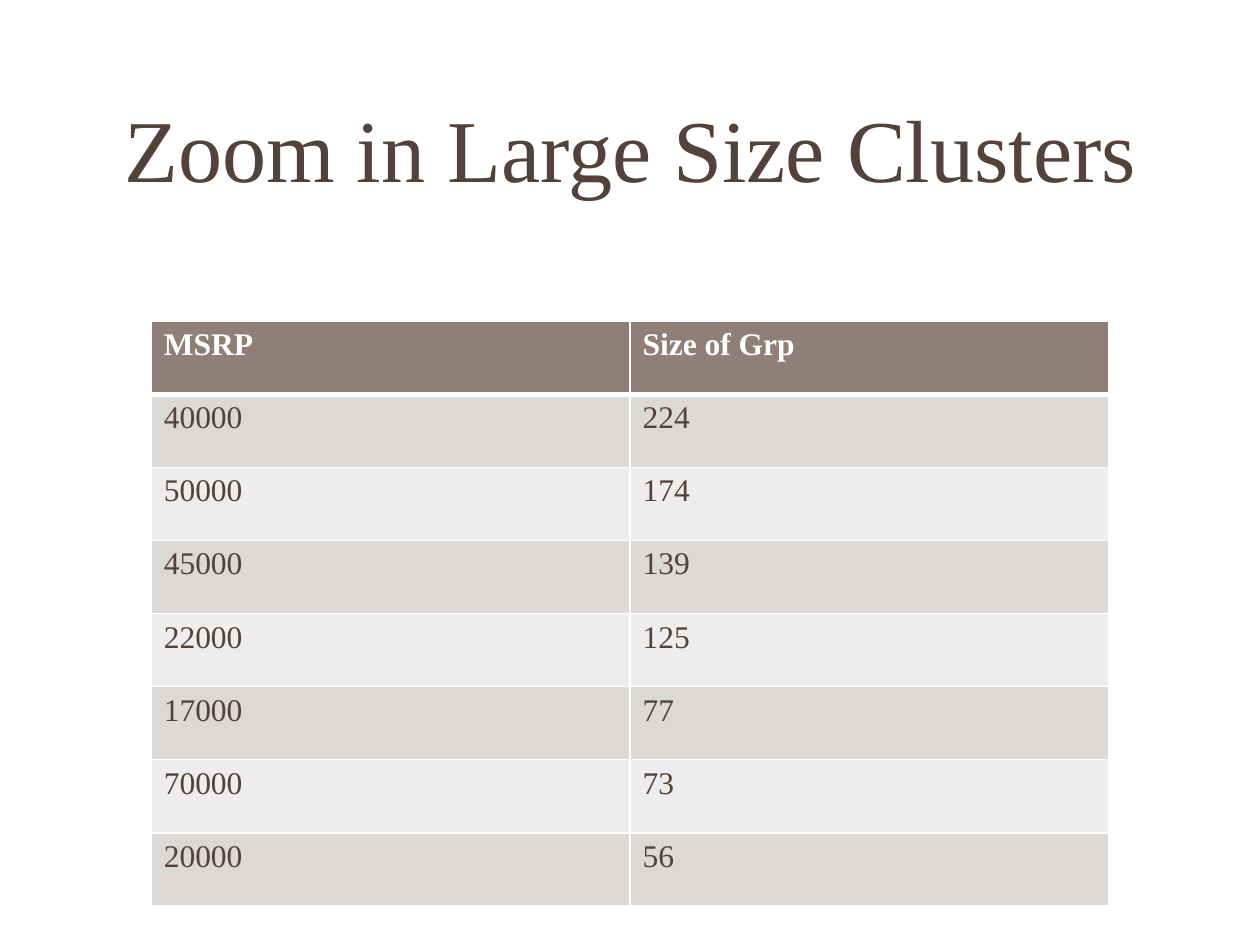
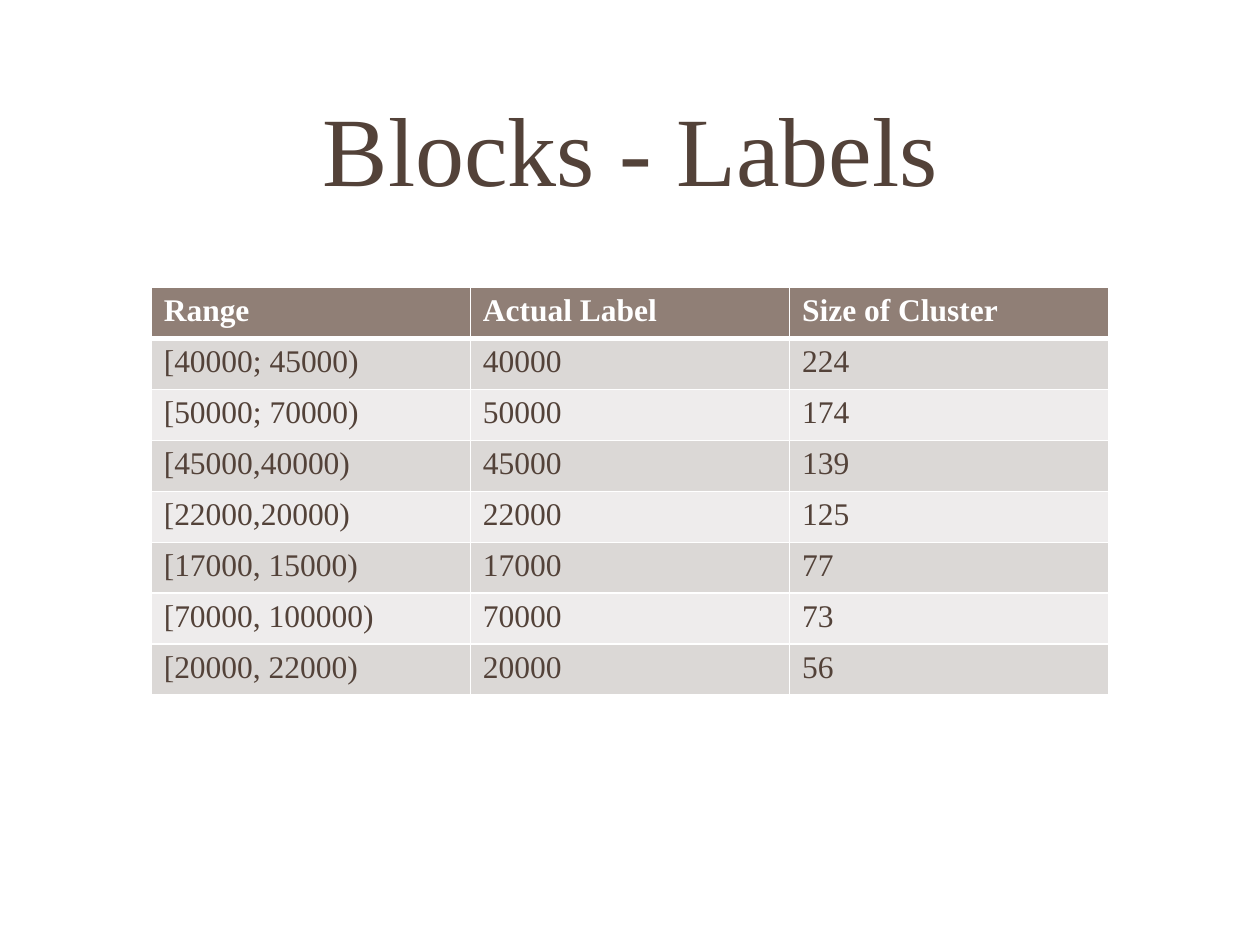
from dataclasses import dataclass

from lxml.etree import SubElement
from pptx import Presentation
from pptx.dml.color import RGBColor
from pptx.enum.text import MSO_ANCHOR, MSO_AUTO_SIZE, PP_ALIGN
from pptx.oxml.ns import qn
from pptx.util import Inches, Pt


@dataclass(frozen=True)
class Theme:
    font: str = "Times New Roman"
    text: str = "534239"
    white: str = "FFFFFF"
    header: str = "907F76"
    bands: tuple[str, str] = ("DBD8D6", "EEECEC")
    cell_size: float = 18
    rule: float = 1
    header_rule: float = 3


@dataclass(frozen=True)
class TableSlide:
    title: str
    title_size: float
    top: float
    height: float
    rows: list[tuple[str, ...]]


THEME = Theme()
TABLE_LEFT, TABLE_WIDTH = 1.2, 7.6

CLUSTERS = [
    ("[40000; 45000)", "40000", "224"),
    ("[50000; 70000)", "50000", "174"),
    ("[45000,40000)", "45000", "139"),
    ("[22000,20000)", "22000", "125"),
    ("[17000, 15000)", "17000", "77"),
    ("[70000, 100000)", "70000", "73"),
    ("[20000, 22000)", "20000", "56"),
]

SLIDES = [
    TableSlide("Zoom in Large Size Clusters", 50.4, 2.55, 4.64,
               [("MSRP", "Size of Grp")] + [row[1:] for row in CLUSTERS]),
    TableSlide("Blocks - Labels", 56, 2.28, 3.24,
               [("Range", "Actual Label", "Size of Cluster")] + CLUSTERS),
]


def add_run(p, text: str, size: float, color: str, bold: bool = False) -> None:
    r = p.add_run()
    r.text = text
    r.font.name = THEME.font
    r.font.size = Pt(size)
    r.font.bold = bold
    r.font.color.rgb = RGBColor.from_string(color)


def add_title(s, text: str, size: float) -> None:
    sp = s.shapes.title
    sp.left, sp.top = Inches(0.88), Inches(0.42)
    sp.width, sp.height = Inches(8.25), Inches(1.5)
    tf = sp.text_frame
    tf.word_wrap = True
    tf.auto_size = MSO_AUTO_SIZE.NONE
    tf.vertical_anchor = MSO_ANCHOR.MIDDLE
    p = tf.paragraphs[0]
    p.alignment = PP_ALIGN.CENTER
    add_run(p, text, size, THEME.text)


def set_borders(cell, top: float, bottom: float) -> None:
    widths = {"L": THEME.rule, "R": THEME.rule, "T": top, "B": bottom}
    tc_pr = cell._tc.get_or_add_tcPr()
    for side, width in widths.items():
        ln = SubElement(tc_pr, qn(f"a:ln{side}"), w=str(Pt(width)))
        fill = SubElement(ln, qn("a:solidFill"))
        SubElement(fill, qn("a:srgbClr"), val=THEME.white)


def format_cell(cell, text: str, row: int) -> None:
    is_header = row == 0
    set_borders(cell,
                top=THEME.header_rule if row == 1 else THEME.rule,
                bottom=THEME.header_rule if is_header else THEME.rule)
    fill = THEME.header if is_header else THEME.bands[(row - 1) % 2]
    cell.fill.solid()
    cell.fill.fore_color.rgb = RGBColor.from_string(fill)
    color = THEME.white if is_header else THEME.text
    add_run(cell.text_frame.paragraphs[0], text, THEME.cell_size, color, is_header)


def add_data_table(s, spec: TableSlide) -> None:
    n_rows, n_cols = len(spec.rows), len(spec.rows[0])
    table = s.shapes.add_table(
        n_rows, n_cols, Inches(TABLE_LEFT), Inches(spec.top),
        Inches(TABLE_WIDTH), Inches(spec.height)).table
    for i, values in enumerate(spec.rows):
        for j, value in enumerate(values):
            format_cell(table.cell(i, j), value, i)


def main() -> None:
    prs = Presentation()
    prs.slide_width, prs.slide_height = Inches(10), Inches(7.5)
    title_only = prs.slide_layouts[5]
    for item in SLIDES:
        s = prs.slides.add_slide(title_only)
        add_title(s, item.title, item.title_size)
        add_data_table(s, item)
    prs.save("out.pptx")


main()
